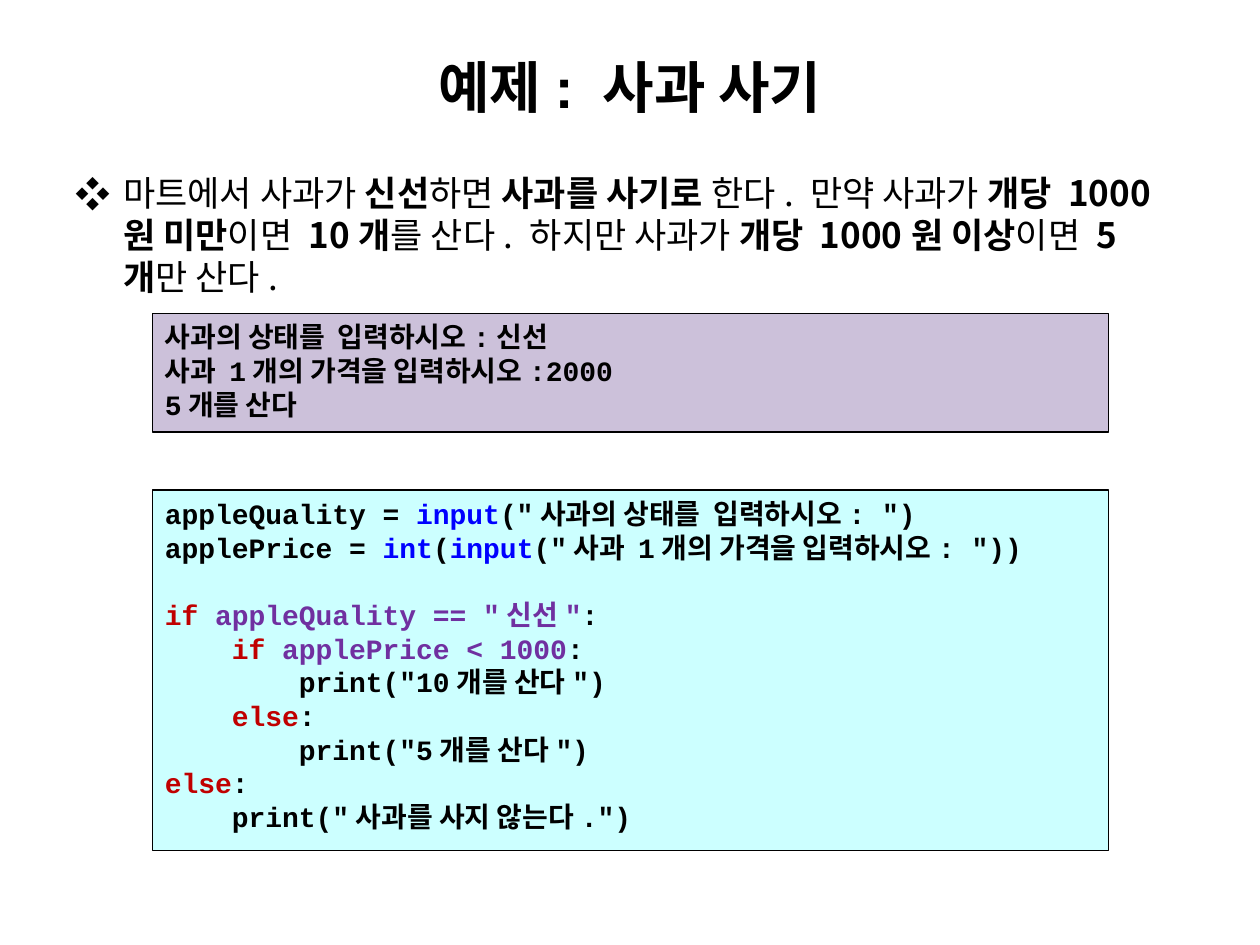
from lxml import etree
from pptx import Presentation
from pptx.dml.color import RGBColor
from pptx.enum.shapes import MSO_SHAPE
from pptx.enum.text import MSO_ANCHOR, PP_ALIGN
from pptx.oxml.ns import qn
from pptx.util import Inches, Pt

RECT = MSO_SHAPE.RECTANGLE
TOP, MIDDLE = MSO_ANCHOR.TOP, MSO_ANCHOR.MIDDLE
LEFT, CENTER = PP_ALIGN.LEFT, PP_ALIGN.CENTER
BLACK = RGBColor(0x00, 0x00, 0x00)
BLUE = RGBColor(0x00, 0x00, 0xFF)
RED = RGBColor(0xC0, 0x00, 0x00)
PURPLE = RGBColor(0x70, 0x30, 0xA0)
CYAN = RGBColor(0xCC, 0xFF, 0xFF)
LILAC = RGBColor(0xCC, 0xC1, 0xDA)
SANS, BODY, MONO = "Arial", "Noto Sans CJK KR", "Courier New"

TITLE = "예제: 사과 사기"
TASK = [
    ("마트에서 사과가 ", False),
    ("신선", True),
    ("하면 ", False),
    ("사과를 사기로 ", True),
    ("한다. 만약 사과가 ", False),
    ("개당 1000원 미만", True),
    ("이면 ", False),
    ("10개", True),
    ("를 산다. 하지만 사과가 ", False),
    ("개당 1000원 이상", True),
    ("이면 ", False),
    ("5개", True),
    ("만 산다.", False),
]
INPUT = [
    [("appleQuality = ", BLACK), ("input", BLUE),
     ('("사과의 상태를  입력하시오: ")', BLACK)],
    [("applePrice = ", BLACK), ("int", BLUE), ("(", BLACK), ("input", BLUE),
     ('("사과 1개의 가격을 입력하시오: "))', BLACK)],
]
CHOICE = [
    [("if ", RED), ('appleQuality == "신선"', PURPLE), (":", BLACK)],
    [("    ", BLACK), ("if ", RED), ("applePrice < 1000", PURPLE), (":", BLACK)],
    [('        print("10개를 산다")', BLACK)],
    [("    ", BLACK), ("else", RED), (":", BLACK)],
    [('        print("5개를 산다")', BLACK)],
    [("else", RED), (":", BLACK)],
    [('    print("사과를 사지 않는다.")', BLACK)],
]
OUTPUT = [
    [("사과의 상태를  입력하시오:신선", BLACK)],
    [("사과 1개의 가격을 입력하시오:2000", BLACK)],
    [("5개를 산다", BLACK)],
]
PITCH = Pt(19.25)


def add_run(para, text, font, size, bold, color=BLACK):
    run = para.add_run()
    run.text = text
    run.font.name = font
    run.font.size = Pt(size)
    run.font.bold = bold
    run.font.color.rgb = color


def add_text(slide, top, height, anchor):
    box = slide.shapes.add_textbox(Inches(0.5), Inches(top), Inches(9), Inches(height))
    frame = box.text_frame
    frame.word_wrap = True
    frame.vertical_anchor = anchor
    return frame.paragraphs[0]


def add_bullet(para, mark, indent):
    props = para._p.get_or_add_pPr()
    props.set("marL", str(Inches(indent)))
    props.set("indent", str(-Inches(indent)))
    etree.SubElement(props, qn("a:buFont")).set("typeface", BODY)
    etree.SubElement(props, qn("a:buChar")).set("char", mark)


def add_panel(slide, top, height, fill, groups):
    panel = slide.shapes.add_shape(
        RECT, Inches(1.21), Inches(top), Inches(7.59), Inches(height))
    panel.shadow.inherit = False
    panel.fill.solid()
    panel.fill.fore_color.rgb = fill
    panel.line.color.rgb = BLACK
    panel.line.width = Pt(0.75)
    frame = panel.text_frame
    frame.word_wrap = True
    frame.vertical_anchor = TOP
    para = None
    for group in groups:
        for row, line in enumerate(group):
            first = para is None
            para = frame.paragraphs[0] if first else frame.add_paragraph()
            para.alignment = LEFT
            para.line_spacing = PITCH
            if row == 0 and not first:
                para.space_before = PITCH
            for text, color in line:
                add_run(para, text, MONO, 16, True, color)


def main():
    deck = Presentation()
    deck.slide_width, deck.slide_height = Inches(10), Inches(7.5)
    slide = deck.slides.add_slide(deck.slide_layouts[6])

    title = add_text(slide, 0.3, 0.77, MIDDLE)
    title.alignment = CENTER
    add_run(title, TITLE, SANS, 32, True)

    task = add_text(slide, 1.31, 5.83, TOP)
    task.line_spacing = Pt(24)
    add_bullet(task, "❖", 0.38)
    for text, bold in TASK:
        add_run(task, text, BODY, 20, bold)

    add_panel(slide, 3.89, 2.86, CYAN, [INPUT, CHOICE])
    add_panel(slide, 2.49, 0.94, LILAC, [OUTPUT])
    deck.save("out.pptx")


if __name__ == "__main__":
    main()
